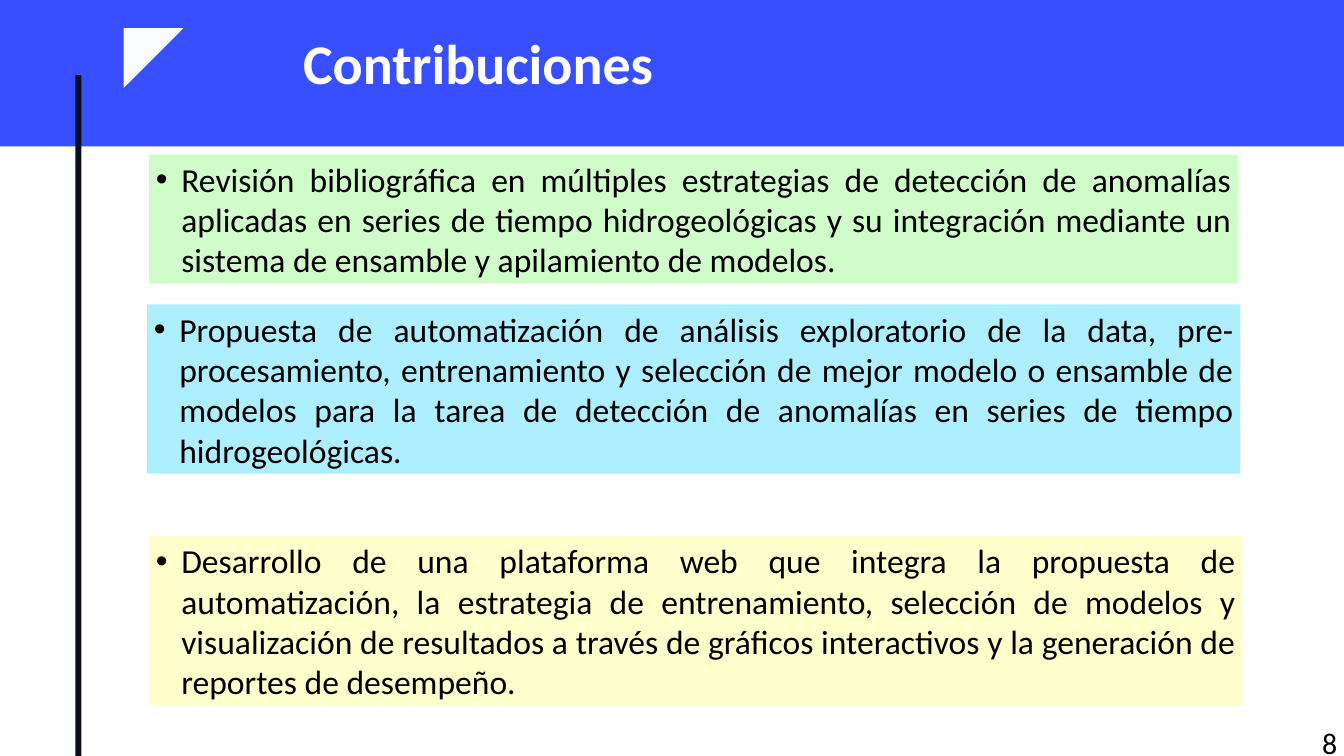
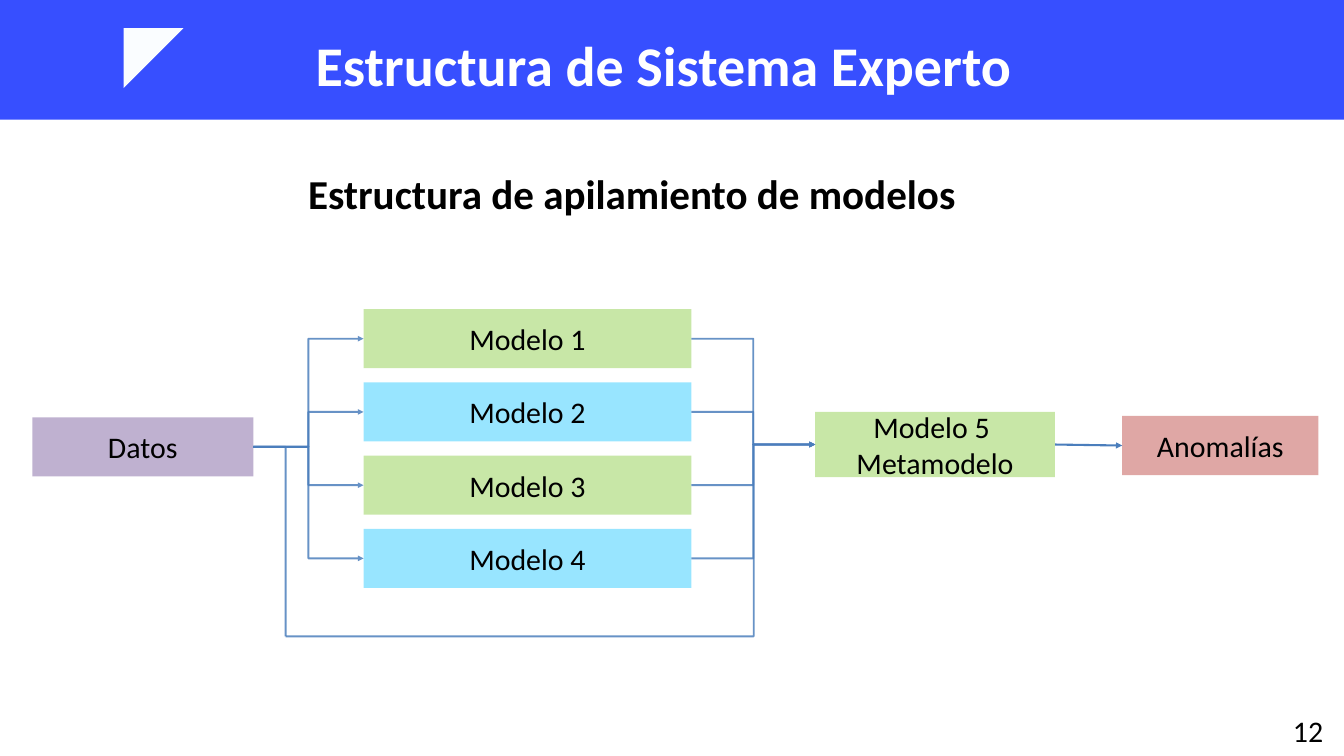
from lxml import etree
from pptx import Presentation
from pptx.dml.color import RGBColor
from pptx.enum.shapes import MSO_CONNECTOR, MSO_SHAPE
from pptx.enum.text import MSO_ANCHOR, PP_ALIGN
from pptx.oxml.ns import qn
from pptx.util import Inches, Pt

SLIDE_W, SLIDE_H = 20, 11.25
FONT = "Calibri"
BLUE, INK, CORNER = "374FFF", "0B0F1E", "FAFDFF"
WHITE, BLACK, ARROW = "FFFFFF", "000000", "4B7EBC"
GREEN, CYAN, PURPLE, RED = "92D050", "33CCFF", "8064A2", "C0504D"
LEFT_SIDE, RIGHT_SIDE = 1, 3

CONTRIBUTIONS = [
    ((2.22, 2.3, 16.21, 1.92), "A3FA94", 50,
     "Revisión bibliográfica en múltiples estrategias de detección de anomalías "
     "aplicadas en series de tiempo hidrogeológicas y su integración mediante un "
     "sistema de ensamble y apilamiento de modelos."),
    ((2.19, 4.53, 16.27, 2.52), "93EAFF", 75,
     "Propuesta de automatización de análisis exploratorio de la data, "
     "pre-procesamiento, entrenamiento y selección de mejor modelo o ensamble de "
     "modelos para la tarea de detección de anomalías en series de tiempo "
     "hidrogeológicas."),
    ((2.22, 7.98, 16.27, 2.52), "FFFF99", 50,
     "Desarrollo de una plataforma web que integra la propuesta de automatización, "
     "la estrategia de entrenamiento, selección de modelos y visualización de "
     "resultados a través de gráficos interactivos y la generación de reportes de "
     "desempeño."),
]


def paint(color_format, color, opacity=100):
    """Apply a hex colour, with opacity in percent."""
    color_format.rgb = RGBColor.from_string(color)
    if opacity < 100:
        for srgb in color_format._xFill.iter(qn("a:srgbClr")):
            etree.SubElement(srgb, qn("a:alpha"), val=str(opacity * 1000))


def fill_flat(shape, color, opacity=100):
    shape.shadow.inherit = False
    shape.fill.solid()
    paint(shape.fill.fore_color, color, opacity) if opacity == 100 else None
    if opacity < 100:
        shape.fill.fore_color.rgb = RGBColor.from_string(color)
        srgb = shape._element.spPr.find(qn("a:solidFill")).find(qn("a:srgbClr"))
        etree.SubElement(srgb, qn("a:alpha"), val=str(opacity * 1000))
    shape.line.fill.background()
    return shape


def add_block(slide, box, color, opacity=100):
    block = slide.shapes.add_shape(MSO_SHAPE.RECTANGLE, *map(Inches, box))
    return fill_flat(block, color, opacity)


def write(shape, text, size, align, color=BLACK, bold=False, spacing=None,
          anchor=MSO_ANCHOR.MIDDLE, inset=True, bullet=False):
    frame = shape.text_frame
    frame.word_wrap = True
    frame.vertical_anchor = anchor
    if not inset:
        frame.margin_left = frame.margin_right = 0
        frame.margin_top = frame.margin_bottom = 0
    paragraph = frame.paragraphs[0]
    paragraph.text = text
    paragraph.alignment = align
    if spacing:
        paragraph.line_spacing = spacing
    if bullet:
        properties = paragraph._p.get_or_add_pPr()
        properties.set("marL", str(Inches(0.38)))
        properties.set("indent", str(Inches(-0.38)))
        etree.SubElement(properties, qn("a:buFont"), typeface="Arial")
        etree.SubElement(properties, qn("a:buChar"), char="•")
    font = paragraph.font
    font.name, font.size, font.bold = FONT, Pt(size), bold
    font.color.rgb = RGBColor.from_string(color)


def add_label(slide, box, text, size, align, **style):
    write(slide.shapes.add_textbox(*map(Inches, box)), text, size, align, **style)


def add_heading(slide, box, text, size, align, color, spacing):
    add_label(slide, box, text, size, align, color=color, bold=True,
              spacing=spacing, anchor=MSO_ANCHOR.TOP, inset=False)


def add_header(slide, band_height, title_box, title, align, spacing):
    """Blue band with its corner triangle and title."""
    add_block(slide, (0, 0, SLIDE_W, band_height), BLUE)
    left, top, side = 1.84, 0.42, 0.89
    outline = slide.shapes.build_freeform(Inches(left), Inches(top + side))
    outline.add_line_segments([(Inches(left), Inches(top)),
                               (Inches(left + side), Inches(top))])
    fill_flat(outline.convert_to_shape(), CORNER)
    add_heading(slide, title_box, title, 60, align, WHITE, spacing)


def add_page_number(slide, box, number):
    add_label(slide, box, number, 32, PP_ALIGN.RIGHT)


def add_node(slide, box, text, color):
    node = add_block(slide, box, color, 50)
    write(node, text, 32, PP_ALIGN.CENTER)
    return node


def add_link(slide, kind, start, end, width=2, opacity=84, arrow=True):
    """Connect two ends, each a node (joined at its side) or an (x, y) point."""
    def point(target):
        return map(Inches, target if isinstance(target, tuple) else (0, 0))

    link = slide.shapes.add_connector(kind, *point(start), *point(end))
    if not isinstance(start, tuple):
        link.begin_connect(start, RIGHT_SIDE)
    if not isinstance(end, tuple):
        link.end_connect(end, LEFT_SIDE)
    link.line.width = Pt(width)
    link.line.color.rgb = RGBColor.from_string(ARROW)
    line = link.line._get_or_add_ln()
    if opacity < 100:
        srgb = line.find(qn("a:solidFill")).find(qn("a:srgbClr"))
        etree.SubElement(srgb, qn("a:alpha"), val=str(opacity * 1000))
    if arrow:
        etree.SubElement(line, qn("a:tailEnd"), type="triangle")
    etree.SubElement(link._element.spPr, qn("a:effectLst"))
    return link


def add_stacking_diagram(slide, left, top):
    """Data feeds four models, whose results meet in the metamodel."""
    data = add_node(slide, (left, top + 1.61, 3.29, 0.88), "Datos", PURPLE)
    models = [add_node(slide, (left + 4.93, top + 1.09 * i, 4.88, 0.88),
                       f"Modelo {i + 1}", (GREEN, CYAN)[i % 2]) for i in range(4)]
    metamodel = add_node(slide, (left + 11.65, top + 1.53, 3.57, 0.97),
                         "Modelo 5 \vMetamodelo", GREEN)
    anomalies = add_node(slide, (left + 16.22, top + 1.59, 2.92, 0.88),
                         "Anomalías", RED)
    for model in models:
        add_link(slide, MSO_CONNECTOR.ELBOW, data, model)
        add_link(slide, MSO_CONNECTOR.ELBOW, model, metamodel)

    # Bypass that takes the data under the models to the metamodel
    turn = (left + 3.77, top + 4.87)
    descent = add_link(slide, MSO_CONNECTOR.ELBOW, data, turn, arrow=False)
    descent._element.spPr.find(qn("a:prstGeom")).set("prst", "bentConnector2")
    bypass = add_link(slide, MSO_CONNECTOR.ELBOW, turn, metamodel)
    guides = bypass._element.spPr.find(qn("a:prstGeom")).find(qn("a:avLst"))
    etree.SubElement(guides, qn("a:gd"), name="adj1", fmla="val 88400")

    add_link(slide, MSO_CONNECTOR.STRAIGHT, metamodel, anomalies, 2.25, 100)


def build_contributions(slide):
    add_header(slide, 2.18, (4.51, 0.27, 5.49, 1.16), "Contribuciones",
               PP_ALIGN.LEFT, 1.15)
    # Side rule
    add_block(slide, (1.12, 1.12, 0.09, SLIDE_H - 1.12), INK)
    for box, color, opacity, text in CONTRIBUTIONS:
        write(add_block(slide, box, color, opacity), text, 36, PP_ALIGN.JUSTIFY,
              bullet=True)
    add_page_number(slide, (17.67, 10.85, 2.33, 0.4), "8")


def build_expert_system(slide):
    add_header(slide, 1.78, (3.54, 0.16, 12.67, 1.31),
               "Estructura de Sistema Experto", PP_ALIGN.CENTER, 1.3)
    add_heading(slide, (1.4, 2.28, 16.02, 0.96),
                "Estructura de apilamiento de modelos", 44, PP_ALIGN.CENTER,
                BLACK, 1.3)
    add_stacking_diagram(slide, 0.48, 4.6)
    add_page_number(slide, (17.18, 10.49, 2.61, 0.76), "12")


def main():
    deck = Presentation()
    deck.slide_width, deck.slide_height = Inches(SLIDE_W), Inches(SLIDE_H)
    for build in (build_contributions, build_expert_system):
        build(deck.slides.add_slide(deck.slide_layouts[6]))
    deck.save("out.pptx")


if __name__ == "__main__":
    main()
